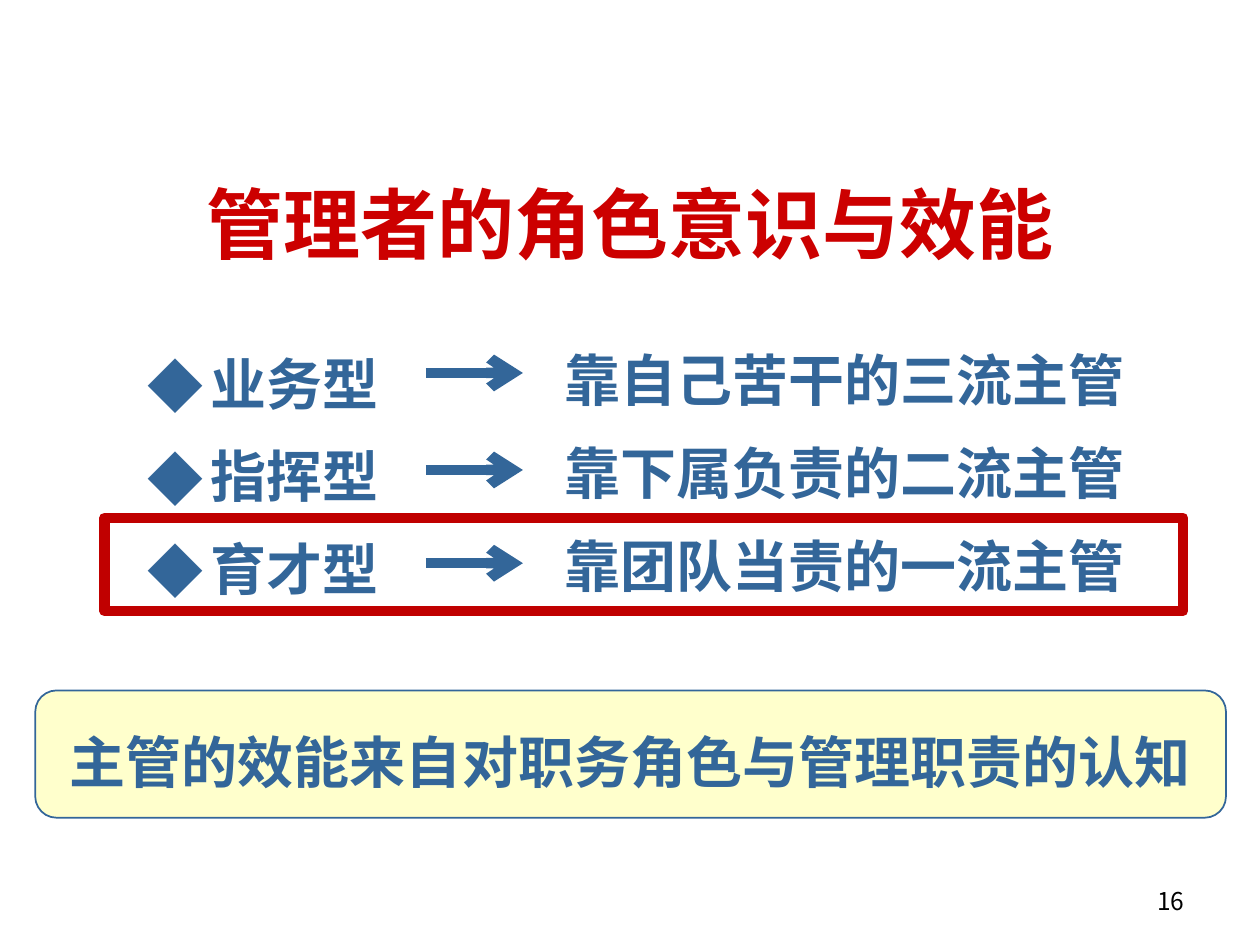
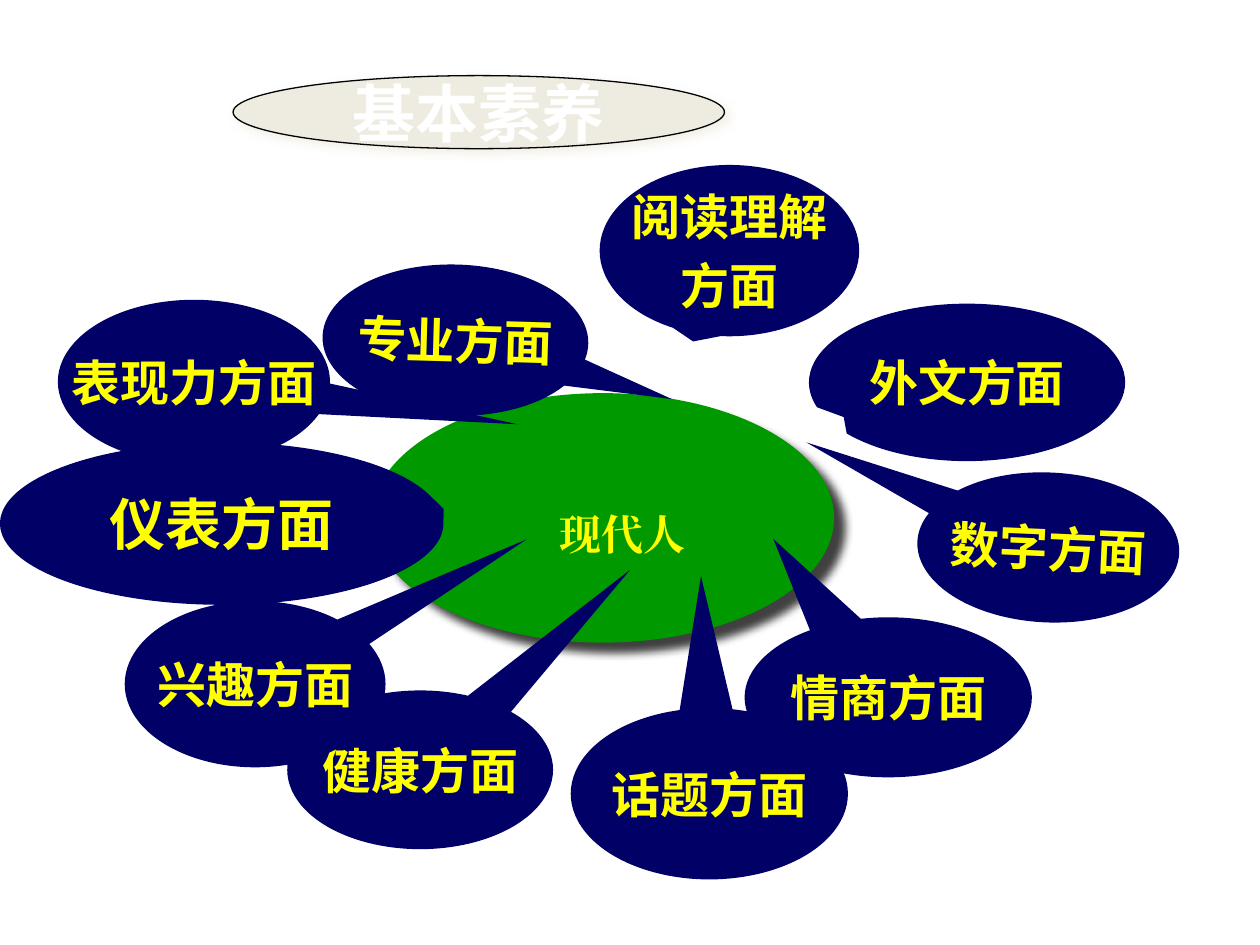
from lxml.etree import SubElement
from pptx import Presentation
from pptx.dml.color import RGBColor
from pptx.enum.shapes import MSO_CONNECTOR, MSO_SHAPE
from pptx.enum.text import MSO_ANCHOR, MSO_AUTO_SIZE, PP_ALIGN
from pptx.oxml.ns import qn
from pptx.util import Pt

COLORS = {
    "title": "CC0000", "blue": "336699", "cream": "FFFFCC", "frame": "C00000",
    "navy": "000066", "yellow": "FFFF00", "green": "009900", "beige": "EEECE1",
    "black": "000000", "white": "FFFFFF",
}
SANS, CABIN, SERIF = "Noto Sans CJK SC", "Cabin", "Times New Roman"


def write_text(shape, lines, font_name, size, color, align=PP_ALIGN.CENTER, bold=True,
               anchor=MSO_ANCHOR.MIDDLE, wrap=False, insets=(7.2, 3.6),
               line_spacing=None, before_percent=0, bullet=None):
    frame = shape.text_frame
    horizontal, vertical = map(Pt, insets)
    frame_format = {
        "word_wrap": wrap, "vertical_anchor": anchor,
        "margin_left": horizontal, "margin_right": horizontal,
        "margin_top": vertical, "margin_bottom": vertical,
    }
    for name, value in frame_format.items():
        setattr(frame, name, value)
    for index, line in enumerate(lines):
        paragraph = frame.add_paragraph() if index else frame.paragraphs[0]
        paragraph.alignment = align
        paragraph.line_spacing = line_spacing
        properties = paragraph._p.get_or_add_pPr()
        if before_percent:
            paragraph.space_before = Pt(0)
            spacing = properties.find(qn("a:spcBef"))
            spacing.clear()
            SubElement(spacing, qn("a:spcPct"), val=str(before_percent * 1000))
        if bullet:
            properties.set("marL", str(Pt(36)))
            properties.set("indent", str(-Pt(36)))
            bullet_color = SubElement(properties, qn("a:buClr"))
            SubElement(bullet_color, qn("a:srgbClr"), val=COLORS[color])
            SubElement(properties, qn("a:buFont"), typeface=font_name)
            SubElement(properties, qn("a:buChar"), char=bullet)
        run = paragraph.add_run()
        run.text = line
        for name, value in {"name": font_name, "size": Pt(size), "bold": bold}.items():
            setattr(run.font, name, value)
        run.font.color.rgb = RGBColor.from_string(COLORS[color])
        SubElement(run._r.get_or_add_rPr(), qn("a:ea"), typeface=font_name)


def add_figure(slide, kind, box, fill=None, line=None, line_width=1, shadow=None):
    shape = slide.shapes.add_shape(kind, *map(Pt, box))
    shape.shadow.inherit = False
    if fill:
        shape.fill.solid()
        shape.fill.fore_color.rgb = RGBColor.from_string(COLORS[fill])
    else:
        shape.fill.background()
    if line:
        shape.line.color.rgb = RGBColor.from_string(COLORS[line])
        shape.line.width = Pt(line_width)
    else:
        shape.line.fill.background()
    if shadow:
        color, distance = shadow
        effects = shape._element.spPr.find(qn("a:effectLst"))
        outer = SubElement(effects, qn("a:outerShdw"), blurRad=str(Pt(5)),
                           dist=str(Pt(distance)), dir="2700000", algn="ctr", rotWithShape="0")
        shade = SubElement(outer, qn("a:srgbClr"), val=COLORS[color])
        SubElement(shade, qn("a:alpha"), val="75000")
    return shape


presentation = Presentation()
presentation.slide_width, presentation.slide_height = Pt(720), Pt(540)
blank = presentation.slide_layouts[6]

slide = presentation.slides.add_slide(blank)

page_number = slide.shapes.add_textbox(Pt(516.24), Pt(500.4), Pt(167.76), Pt(28.8))
write_text(page_number, ["16"], SANS, 14, "black", PP_ALIGN.RIGHT, bold=False, wrap=True)

title = slide.shapes.add_textbox(Pt(20.16), Pt(86.4), Pt(680.4), Pt(81.36))
write_text(title, ["管理者的角色意识与效能"], SANS, 44, "title", insets=(6.48, 2.88))

list_format = {
    "font_name": SANS, "size": 32, "color": "blue", "align": PP_ALIGN.LEFT,
    "anchor": MSO_ANCHOR.TOP, "wrap": True, "insets": (6.48, 2.88),
    "line_spacing": 1.3, "before_percent": 10,
}
manager_types = slide.shapes.add_textbox(Pt(77.76), Pt(185.04), Pt(154.8), Pt(215.28))
write_text(manager_types, ["业务型", "指挥型", "育才型"], bullet="◆", **list_format)

for y in (213.12, 268.56, 321.84):
    arrow = slide.shapes.add_connector(MSO_CONNECTOR.STRAIGHT, Pt(243.36), Pt(y), Pt(298.8), Pt(y))
    arrow.line.color.rgb = RGBColor.from_string(COLORS["blue"])
    arrow.line.width = Pt(6)
    SubElement(arrow.line._get_or_add_ln(), qn("a:tailEnd"), type="arrow")
    SubElement(arrow._element.spPr, qn("a:effectLst"))

conclusion = add_figure(slide, MSO_SHAPE.ROUNDED_RECTANGLE, (20.16, 394.56, 680.4, 72.72),
                        "cream", "blue")
write_text(conclusion, ["主管的效能来自对职务角色与管理职责的认知"], SANS, 32, "blue",
           insets=(6.48, 3.6), line_spacing=1.2)

descriptions = slide.shapes.add_textbox(Pt(316.08), Pt(182.88), Pt(374.4), Pt(217.44))
write_text(descriptions, ["靠自己苦干的三流主管", "靠下属负责的二流主管", "靠团队当责的一流主管"],
           **list_format)

add_figure(slide, MSO_SHAPE.RECTANGLE, (59.76, 295.92, 616.32, 53.28), line="frame", line_width=6)

slide = presentation.slides.add_slide(blank)

add_figure(slide, MSO_SHAPE.OVAL, (212.4, 224.64, 264.24, 142.56), "green", shadow=("black", 8.5))

callouts = [
    (["外文方面"], (462.24, 173.52, 180.72, 90), (-0.39, 0.22), 0, 28),
    (["数字方面"], (524.16, 270, 149.76, 85.68), (-0.94, -0.63), 2.5, 28),
    (["情商方面"], (425.52, 352.8, 164.16, 91.44), (-0.4, -0.99), 0, 28),
    (["阅读理解", "方面"], (342.72, 94.32, 148.32, 97.92), (-0.14, 0.53), 0, 28),
    (["专业方面"], (184.32, 151.2, 151.92, 86.4), (0.82, 0.35), 1.6, 28),
    (["话题方面"], (326.16, 404.64, 158.4, 97.92), (-0.03, -1.27), 0, 28),
    (["健康方面"], (164.16, 394.56, 151.92, 90.72), (0.79, -1.26), 0, 28),
    (["兴趣方面"], (71.28, 343.44, 149.04, 95.04), (1.04, -0.87), 0, 28),
    (["仪表方面"], (0, 252.72, 253.44, 92.88), (0.5, -0.09), 0, 32),
    (["表现力方面"], (33.12, 171.36, 155.52, 93.6), (1.19, 0.26), 0, 28),
]
for lines, box, pointer, rotation, size in callouts:
    callout = add_figure(slide, MSO_SHAPE.OVAL_CALLOUT, box, "navy")
    callout.rotation = rotation
    for index, offset in enumerate(pointer):
        callout.adjustments[index] = offset
    write_text(callout, lines, CABIN, size, "yellow", before_percent=20)

heading = add_figure(slide, MSO_SHAPE.OVAL, (133.2, 43.2, 280.8, 41.76), "beige", "black", 0.75,
                     shadow=("beige", 3))
write_text(heading, ["基本素养"], CABIN, 36, "white")

center_label = slide.shapes.add_textbox(Pt(297.36), Pt(287.28), Pt(101.52), Pt(36))
write_text(center_label, ["现代人"], SERIF, 24, "yellow", PP_ALIGN.RIGHT,
           anchor=MSO_ANCHOR.TOP, wrap=True)
center_label.text_frame.auto_size = MSO_AUTO_SIZE.SHAPE_TO_FIT_TEXT

presentation.save("out.pptx")
